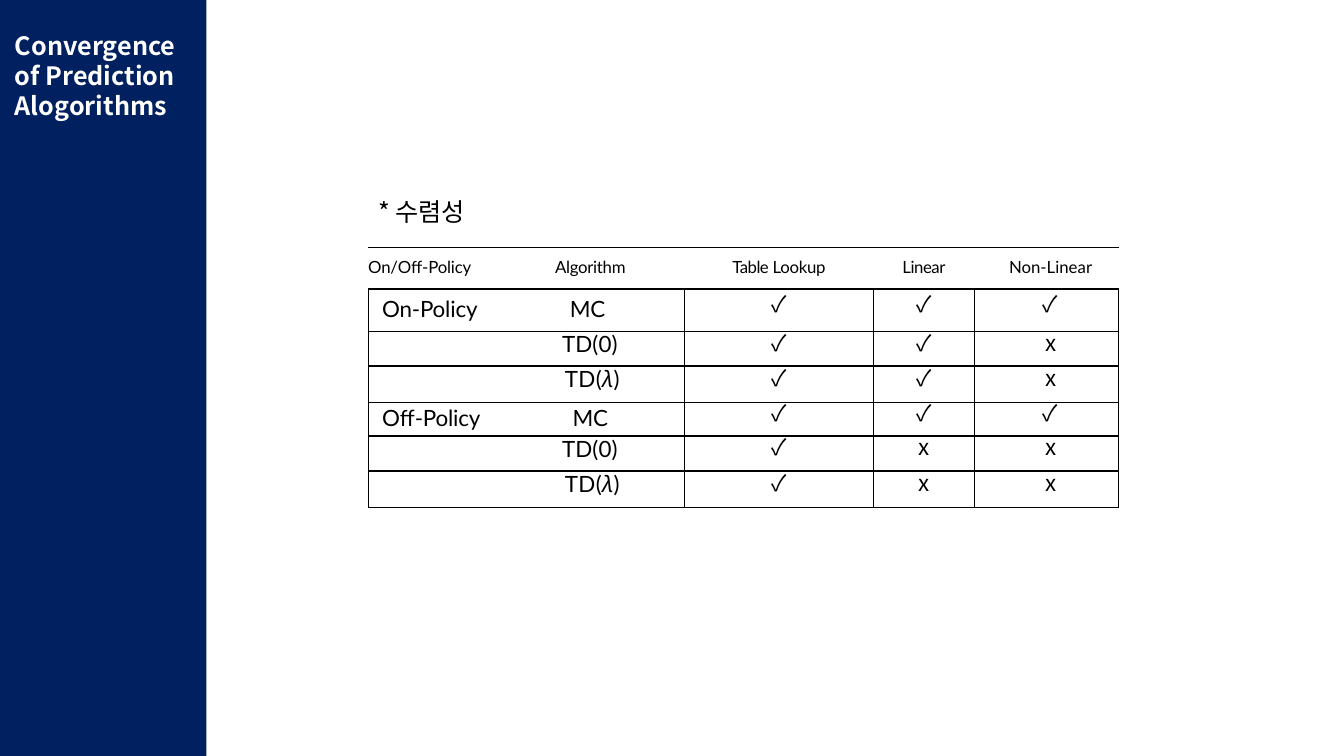
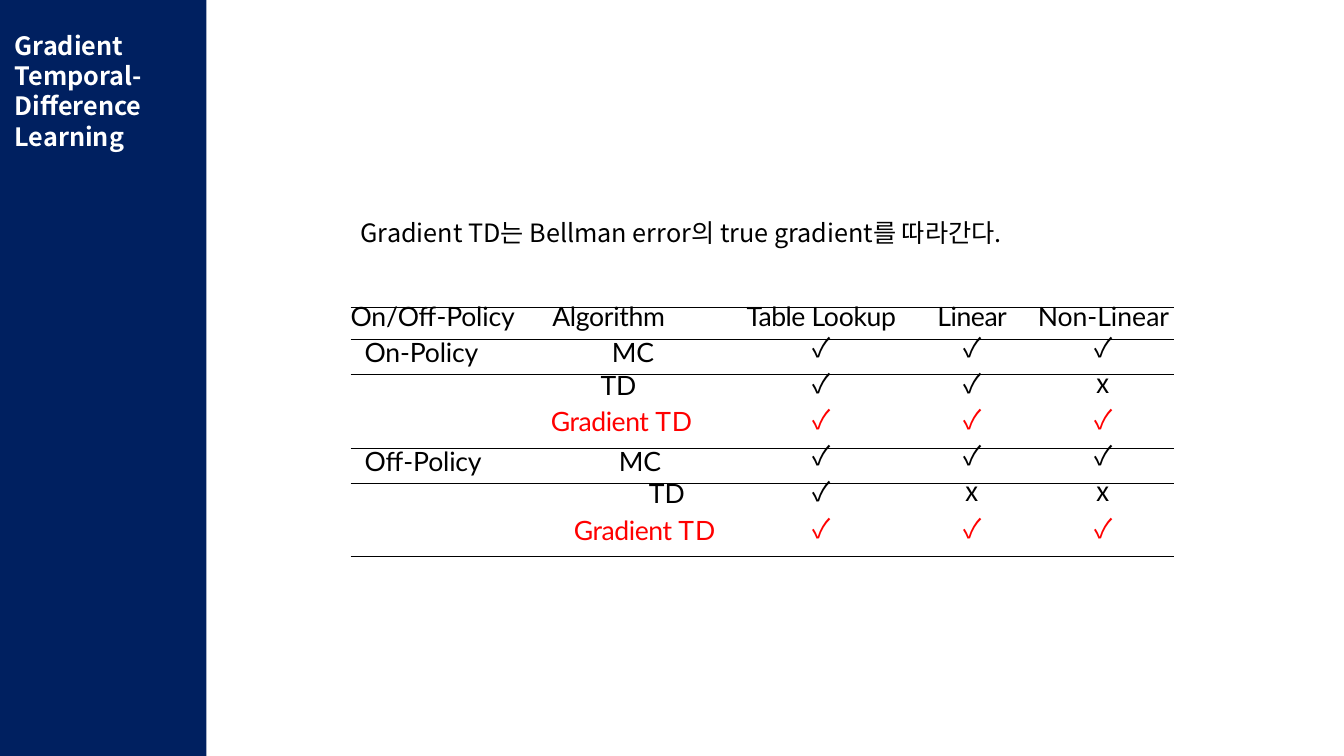
from dataclasses import dataclass

from lxml import etree
from pptx import Presentation
from pptx.dml.color import RGBColor
from pptx.enum.shapes import MSO_SHAPE
from pptx.enum.text import MSO_ANCHOR, PP_ALIGN
from pptx.oxml.ns import qn
from pptx.util import Pt

RECT = MSO_SHAPE.RECTANGLE
MIDDLE = MSO_ANCHOR.MIDDLE
LEFT, CENTER = PP_ALIGN.LEFT, PP_ALIGN.CENTER


@dataclass(frozen=True)
class Theme:
    navy: str = "002060"
    white: str = "FFFFFF"
    black: str = "000000"
    red: str = "FF0000"
    head: str = "Noto Sans CJK KR"
    body: str = "Lato"
    mark: str = "Noto Sans CJK JP"
    greek: str = "League Spartan"
    title: float = 18
    tight: float = 6.7
    snug: float = 11.9
    loose: float = 12.2


@dataclass(frozen=True)
class Row:
    """One body row: the algorithm starts at the tab, or at the inset if unnamed."""
    height: float
    algo: tuple
    marks: str
    edges: dict
    inset: float = 10
    name: str = ""
    tab: float = 0
    color: str = "000000"


T = Theme()
WIDE, HIGH = 960, 540
BAND = 147.5


def add_run(para, text, size, font, color, bold=False, italic=False, track=0):
    run = para.add_run()
    run.text = text
    face = run.font
    face.size, face.name = Pt(size), font
    face.bold, face.italic = bold, italic
    face.color.rgb = RGBColor.from_string(color)
    props = run._r.get_or_add_rPr()
    etree.SubElement(props, qn("a:ea"), typeface=font)
    if track:
        props.set("spc", str(round(track * 100)))


def add_text(slide, box, lines, color, bold=False):
    shape = slide.shapes.add_textbox(*map(Pt, box))
    frame = shape.text_frame
    frame.word_wrap = True
    for i, line in enumerate(lines):
        para = frame.add_paragraph() if i else frame.paragraphs[0]
        add_run(para, line, T.title, T.head, color, bold)


def add_band(slide, box, title):
    left, top, width, height = box
    band = slide.shapes.add_shape(RECT, *map(Pt, box))
    band.shadow.inherit = False
    band.fill.solid()
    band.fill.fore_color.rgb = RGBColor.from_string(T.navy)
    band.line.fill.background()
    area = (left + 3.5, top + 18, width - 7.5, 22 * len(title) + 7)
    add_text(slide, area, title, T.white, True)


def set_edges(cell, edges):
    """Draw the named sides (L, R, T, B) at their weights and clear the others."""
    cell.fill.background()
    props = cell._tc.get_or_add_tcPr()
    for i, side in enumerate("LRTB"):
        line = etree.Element(qn("a:ln" + side))
        if side in edges:
            line.set("w", str(Pt(edges[side])))
            fill = etree.SubElement(line, qn("a:solidFill"))
            etree.SubElement(fill, qn("a:srgbClr"), val=T.black)
        else:
            etree.SubElement(line, qn("a:noFill"))
        props.insert(i, line)


def fill_cell(cell, runs, size, color, pitch, edges, align=CENTER,
              inset=0, top=0, tab=0):
    """Runs are (text, font, tracking) triples."""
    cell.margin_left, cell.margin_top = Pt(inset), Pt(top)
    cell.margin_right = cell.margin_bottom = 0
    cell.vertical_anchor = MIDDLE
    para = cell.text_frame.paragraphs[0]
    para.alignment, para.line_spacing = align, Pt(pitch)
    if tab:
        tabs = etree.SubElement(para._p.get_or_add_pPr(), qn("a:tabLst"))
        etree.SubElement(tabs, qn("a:tab"), pos=str(Pt(tab)), algn="l")
    for text, font, track in runs:
        add_run(para, text, size, font, color, italic=font == T.greek, track=track)
    set_edges(cell, edges)


def shift(col):
    """The last column sits a little right of centre."""
    return 6 if col == 3 else 0


def fill_head(table, size, tab, edges):
    heads = (
        (("On/Off-Policy\t", T.body, -0.1), ("Algorithm", T.body, -0.2)),
        (("Table ", T.body, -0.4), ("Lookup", T.body, -0.2)),
        (("Linear", T.body, -0.3),),
        (("Non-Line", T.body, 0), ("a", T.body, -0.3), ("r", T.body, 0)),
    )
    for col, runs in enumerate(heads):
        fill_cell(table.cell(0, col), runs, size, T.black, T.snug, edges,
                  CENTER if col else LEFT, shift(col), 0, 0 if col else tab)


def fill_row(table, num, row, size):
    runs = row.algo
    if row.name:
        runs = ((row.name + "\t", T.body, -0.1),) + runs
    fill_cell(table.cell(num, 0), runs, size, row.color,
              T.tight if row.name else T.loose, row.edges, LEFT,
              row.inset, 10 if row.name else 0, row.tab)
    pitch = T.snug if row.name else T.loose
    for col, mark in enumerate(row.marks, 1):
        fill_cell(table.cell(num, col), ((mark, T.mark, 0),), size, row.color,
                  pitch, row.edges, inset=shift(col))


def add_grid(slide, spot, widths, head, rows, size):
    """Head is (height, text size, tab, edges)."""
    heights = [head[0]] + [row.height for row in rows]
    box = (*spot, sum(widths), sum(heights))
    frame = slide.shapes.add_table(len(heights), len(widths), *map(Pt, box))
    table = frame.table
    table.first_row = table.horz_banding = False
    for col, width in zip(table.columns, widths):
        col.width = Pt(width)
    for line, height in zip(table.rows, heights):
        line.height = Pt(height)
    fill_head(table, *head[1:])
    for num, row in enumerate(rows, 1):
        fill_row(table, num, row, size)


def add_page(deck, title, note, area, *grid):
    slide = deck.slides.add_slide(deck.slide_layouts[6])
    add_band(slide, (0, 0, BAND, HIGH), title)
    add_grid(slide, *grid)
    add_text(slide, area, [note], T.black)


def add_proof(deck):
    box = dict.fromkeys("LRTB", 1)
    mc = (("MC", T.body, -0.1),)
    zero = (("TD(0)", T.body, 0.1),)
    lamb = (("TD(", T.body, 0.3), ("λ", T.greek, 0.3), (")", T.body, 0.3))
    rows = (
        Row(30.5, mc, "✓✓✓", box, name="On-Policy", tab=134),
        Row(24.5, zero, "✓✓x", box, 138.5),
        Row(26, lamb, "✓✓x", box, 140.5),
        Row(24, mc, "✓✓✓", box, name="Off-Policy", tab=136),
        Row(25, zero, "✓xx", box, 138.5),
        Row(26, lamb, "✓xx", box, 140.5),
    )
    add_page(deck, ["Convergence of Prediction Alogorithms"], "* 수렴성",
             (263, 137, 388, 29), (263, 177), (226, 135, 72, 103),
             (29.5, 12, 133.5, {"T": 0.5, "B": 1}), rows, 16)


def add_gradient(deck):
    over, under = {"T": 0.5}, {"B": 0.5}
    both = {**over, **under}
    mc = (("MC", T.body, -0.1),)
    plain = (("TD", T.body, 0),)
    grad = (("Gradient ", T.body, -0.3), ("TD", T.body, 0.7))
    rows = (
        Row(25, mc, "✓✓✓", both, name="On-Policy", tab=176.5),
        Row(25.5, plain, "✓✓x", over, 178.5),
        Row(27, grad, "✓✓✓", under, 143, color=T.red),
        Row(25, mc, "✓✓✓", both, name="Off-Policy", tab=181.5),
        Row(25.5, plain, "✓xx", over, 213),
        Row(27, grad, "✓✓✓", under, 159.5, color=T.red),
    )
    add_page(deck, ["Gradient", "Temporal-", "Difference", "Learning"],
             "Gradient TD는 Bellman error의 true gradient를 따라간다.",
             (250.5, 152, 536, 29), (250.5, 219.5), (266, 140.5, 75, 106.5),
             (23, 19, 144, both), rows, 19)


def main():
    deck = Presentation()
    deck.slide_width, deck.slide_height = Pt(WIDE), Pt(HIGH)
    add_proof(deck)
    add_gradient(deck)
    deck.save("out.pptx")


if __name__ == "__main__":
    main()
